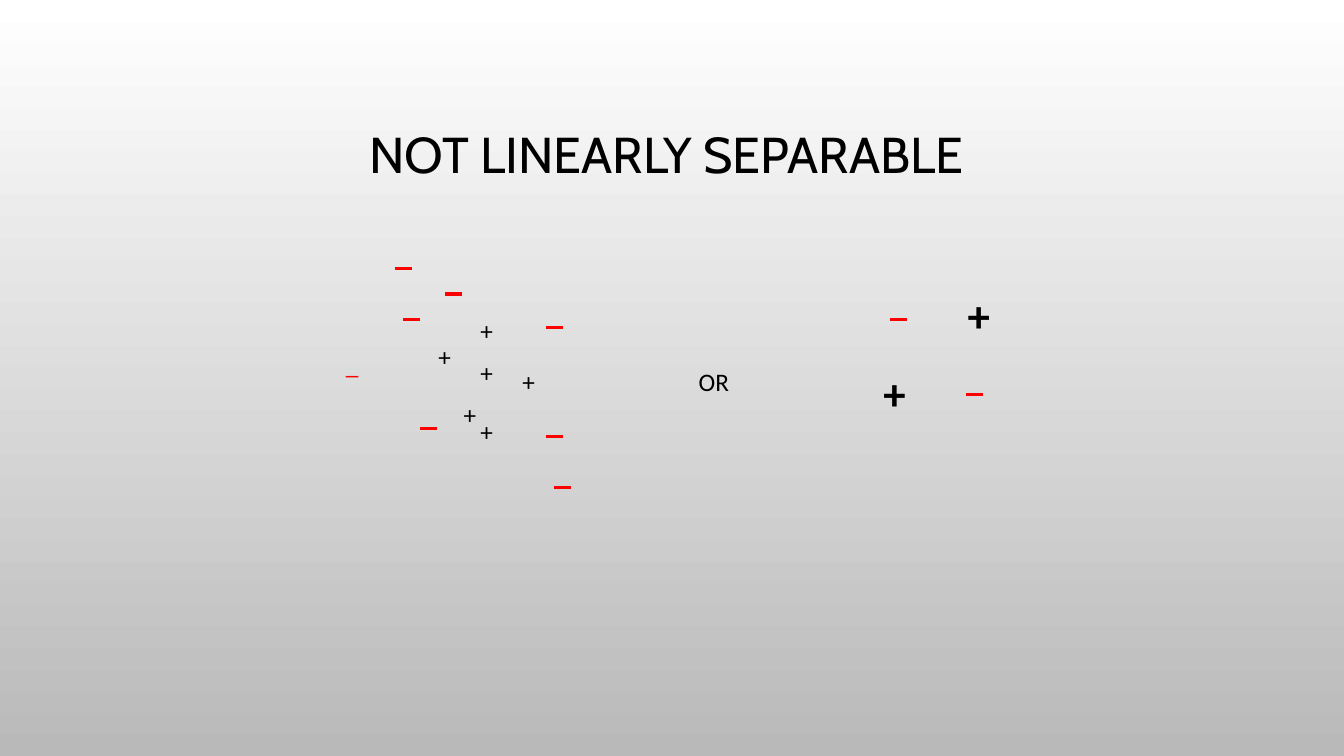
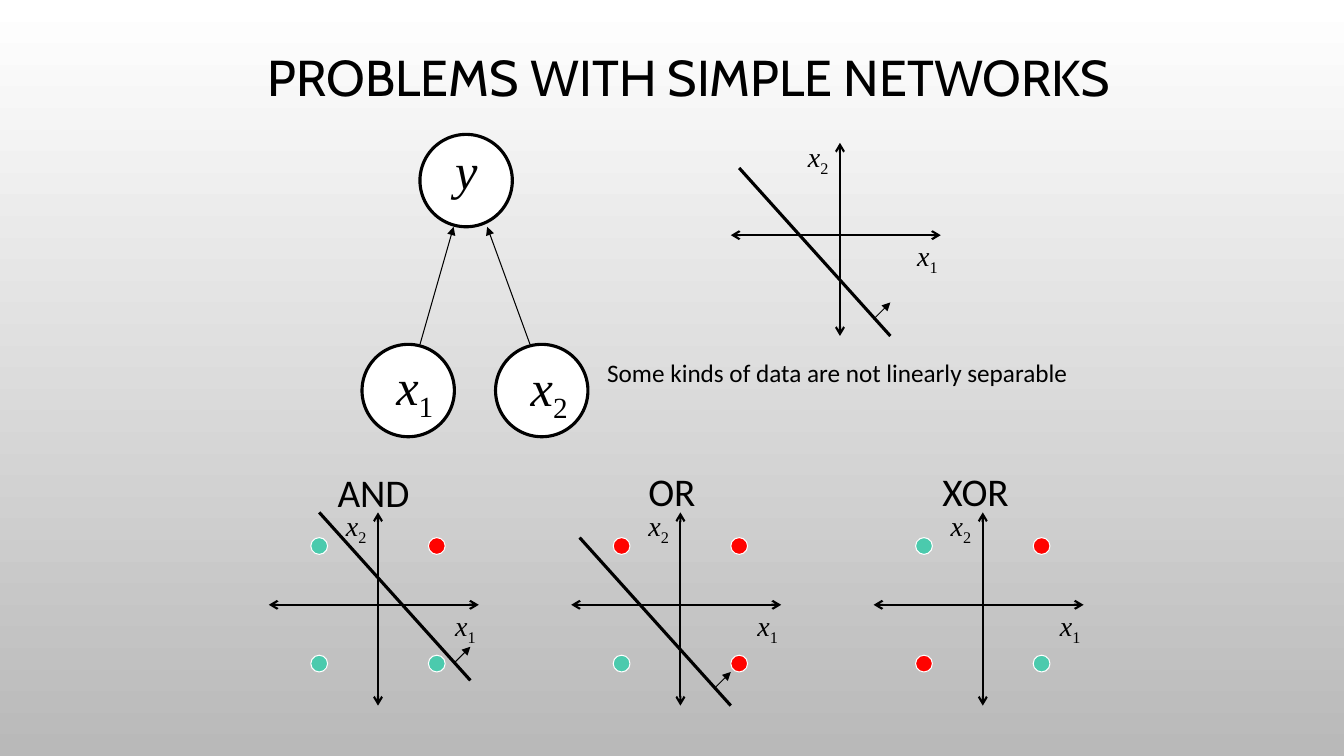
from lxml import etree
from pptx import Presentation
from pptx.dml.color import RGBColor
from pptx.enum.shapes import MSO_CONNECTOR, MSO_SHAPE
from pptx.enum.text import MSO_ANCHOR, MSO_AUTO_SIZE, PP_ALIGN
from pptx.oxml.ns import qn
from pptx.util import Inches, Pt

COLUMNS, ROWS = 160, 90
CELL = Inches(1) // 12

STRAIGHT, ELLIPSE = MSO_CONNECTOR.STRAIGHT, MSO_SHAPE.OVAL
CENTER, MIDDLE = PP_ALIGN.CENTER, MSO_ANCHOR.MIDDLE
GROW = MSO_AUTO_SIZE.SHAPE_TO_FIT_TEXT

BLACK, WHITE, GREY = "000000", "FFFFFF", "B9B9B9"
RED, POSITIVE, NEGATIVE = "FF0000", "FF0300", "4BCAAD"

TITLE = {"name": "Cabin", "size": Pt(36)}
BODY = {"name": "Calibri", "size": Pt(18)}
BIG_PLUS = {"name": "Calibri", "size": Pt(32), "bold": True}
HEADING = {"name": "Calibri", "size": Pt(28)}
AXIS_NAME = {"name": "Times New Roman", "size": Pt(20), "italic": True}
NODE_NAME = {"name": "Times New Roman", "size": Pt(36), "italic": True}

PLUSES = [(51, 40), (61, 43), (56, 37), (54, 47), (56, 49), (56, 42)]
MINUSES = [(47, 32), (65, 39), (65, 52), (48, 38), (50, 51), (53, 35), (66, 58),
           (106, 38), (115, 47)]
BIG_PLUSES = [(114, 33.7), (104, 43)]

# Left and top of each circle, then name with its left and top
NODES = [((50, 16), "y", (53, 16)),
         ((43.1, 41), "x1", (46, 41.64)),
         ((59, 41), "x2", (62, 41.76))]

# Heading, its left and top from the centre, its width, start of the boundary,
# and colours of the points: top left, top right, bottom left, bottom right
GATES = [("AND", (-6, -16.8), 11.2, (38, 61), (NEGATIVE, POSITIVE, NEGATIVE, NEGATIVE)),
         ("OR", (-5, -17), 8.2, (69, 64), (POSITIVE, POSITIVE, NEGATIVE, POSITIVE)),
         ("XOR", (-6, -17), 10.4, None, (NEGATIVE, POSITIVE, POSITIVE, NEGATIVE))]
GATE_LEFT, GATE_STEP, GATE_ROW = 45, 36, 72


def color(value):
    """Turn a hex string into a colour."""
    return RGBColor.from_string(value)


def cells(*counts):
    """Turn grid counts into lengths."""
    return [round(count * CELL) for count in counts]


def style_span(span, style, ink):
    """Apply a dict of font values and a colour to a span."""
    for key, value in style.items():
        setattr(span.font, key, value)
    span.font.color.rgb = color(ink)


def write(page, text, place, size, style, ink=BLACK, wrap=False, before=0):
    """Add a text box that grows with its text; return the box."""
    box = page.shapes.add_textbox(*cells(*place, *size))
    frame = box.text_frame
    frame.word_wrap = wrap
    frame.auto_size = GROW
    para = frame.paragraphs[0]
    if before:
        spacing = etree.SubElement(para._p.get_or_add_pPr(), qn("a:spcBef"))
        etree.SubElement(spacing, qn("a:spcPct")).set("val", str(before * 1000))
    span = para.add_run()
    span.text = text
    style_span(span, style, ink)
    return box


def write_variable(page, name, place, size, style):
    """Write an italic letter with its upright index below the line."""
    box = write(page, name[0], place, size, style, before=20)
    if name[1:]:
        index = box.text_frame.paragraphs[0].add_run()
        index.text = name[1:]
        style_span(index, {**style, "italic": False}, BLACK)
        index.font._element.set("baseline", "-25000")


def add_title(page, text, place, size):
    """Write the centred slide title."""
    box = write(page, text, place, size, TITLE, wrap=True)
    frame, para = box.text_frame, box.text_frame.paragraphs[0]
    frame.auto_size = MSO_AUTO_SIZE.NONE
    frame.vertical_anchor = MIDDLE
    para.alignment, para.line_spacing = CENTER, 0.9


def draw_line(page, start, end, width, ink=BLACK, head=None, tail=None):
    """Draw a straight line with optional arrowheads."""
    line = page.shapes.add_connector(STRAIGHT, *cells(*start, *end))
    line.line.width = Pt(width)
    line.line.color.rgb = color(ink)
    outline = line.line._get_or_add_ln()
    for tag, kind in (("a:headEnd", head), ("a:tailEnd", tail)):
        if kind:
            etree.SubElement(outline, qn(tag)).set("type", kind)
    etree.SubElement(line._element.spPr, qn("a:effectLst"))


def draw_circle(page, place, size, fill, ink, width):
    """Draw a filled circle with an outline."""
    circle = page.shapes.add_shape(ELLIPSE, *cells(*place, size, size))
    circle.shadow.inherit = False
    circle.fill.solid()
    circle.fill.fore_color.rgb = color(fill)
    circle.line.color.rgb = color(ink)
    circle.line.width = Pt(width)


def draw_boundary(page, col, row):
    """Draw a decision line and the arrow to its positive side."""
    draw_line(page, (col, row), (col + 18, row + 20), 2.25)
    draw_line(page, (col + 16, row + 18), (col + 18, row + 16), 0.75, tail="triangle")


def draw_axes(page, col, row):
    """Draw named axes that cross at a grid point."""
    for start, end in (((col, row - 11), (col, row + 12)),
                       ((col + 12, row), (col - 13, row))):
        draw_line(page, start, end, 1.5, head="arrow", tail="arrow")
    for name, place in (("x1", (col + 8, row - 0.2)), ("x2", (col - 5, row - 12))):
        write_variable(page, name, place, (5, 5.3), AXIS_NAME)


def draw_gate(page, col, row, heading, offset, width, boundary, points):
    """Draw the plot of one logic gate."""
    if boundary:
        draw_boundary(page, *boundary)
    draw_axes(page, col, row)
    corners = [(col + x, row + y) for y in (-8, 6) for x in (-8, 6)]
    for corner, fill in zip(corners, points):
        draw_circle(page, corner, 2, fill, WHITE, 0.75)
    place = (col + offset[0], row + offset[1])
    write(page, heading, place, (width, 6.8), HEADING, before=20)


def set_background(deck):
    """Give the master a vertical gradient that all slides share."""
    fill = deck.slide_master.background.fill
    fill.gradient()
    fill.gradient_angle = 270
    for stop, value, position in zip(fill.gradient_stops, (WHITE, GREY), (0, 1)):
        stop.color.rgb = color(value)
        stop.position = position


def build_not_separable(page):
    """Show two point sets that no line can separate."""
    add_title(page, "NOT LINEARLY SEPARABLE ", (12, 8.2), (136, 21))
    for place in PLUSES:
        write(page, "+", place, (4, 4.8), BODY)
    write(page, "_", (40, 41), (4, 4.8), BODY, RED)
    for col, row in MINUSES:
        draw_line(page, (col, row), (col + 2, row), 2.25, RED)
    write(page, "OR", (82, 43), (6.1, 4.8), BODY)
    for place in BIG_PLUSES:
        write(page, "+", place, (5.2, 7.7), BIG_PLUS)


def build_simple_networks(page):
    """Show a small network, its boundary and three logic gates."""
    add_title(page, "PROBLEMS WITH SIMPLE NETWORKS", (29, 2), (106, 15))
    for place, name, name_place in NODES:
        draw_circle(page, place, 11, WHITE, BLACK, 2.25)
        write_variable(page, name, name_place, (5 if name == "y" else 7.1, 8.4), NODE_NAME)
    for start, end in (((50, 41), (54, 27)), ((63.1, 41), (58, 27))):
        draw_line(page, start, end, 0.75, tail="triangle")
    draw_axes(page, 100, 28)
    draw_boundary(page, 88, 20)
    write(page, "Some kinds of data are not linearly separable", (71.1, 42), (58, 4.8),
          BODY, wrap=True, before=50)
    for number, gate in enumerate(GATES):
        draw_gate(page, GATE_LEFT + number * GATE_STEP, GATE_ROW, *gate)


def main():
    """Build the deck and save it."""
    deck = Presentation()
    deck.slide_width, deck.slide_height = cells(COLUMNS, ROWS)
    set_background(deck)
    blank = deck.slide_layouts[6]
    for build in (build_not_separable, build_simple_networks):
        build(deck.slides.add_slide(blank))
    deck.save("out.pptx")


main()
